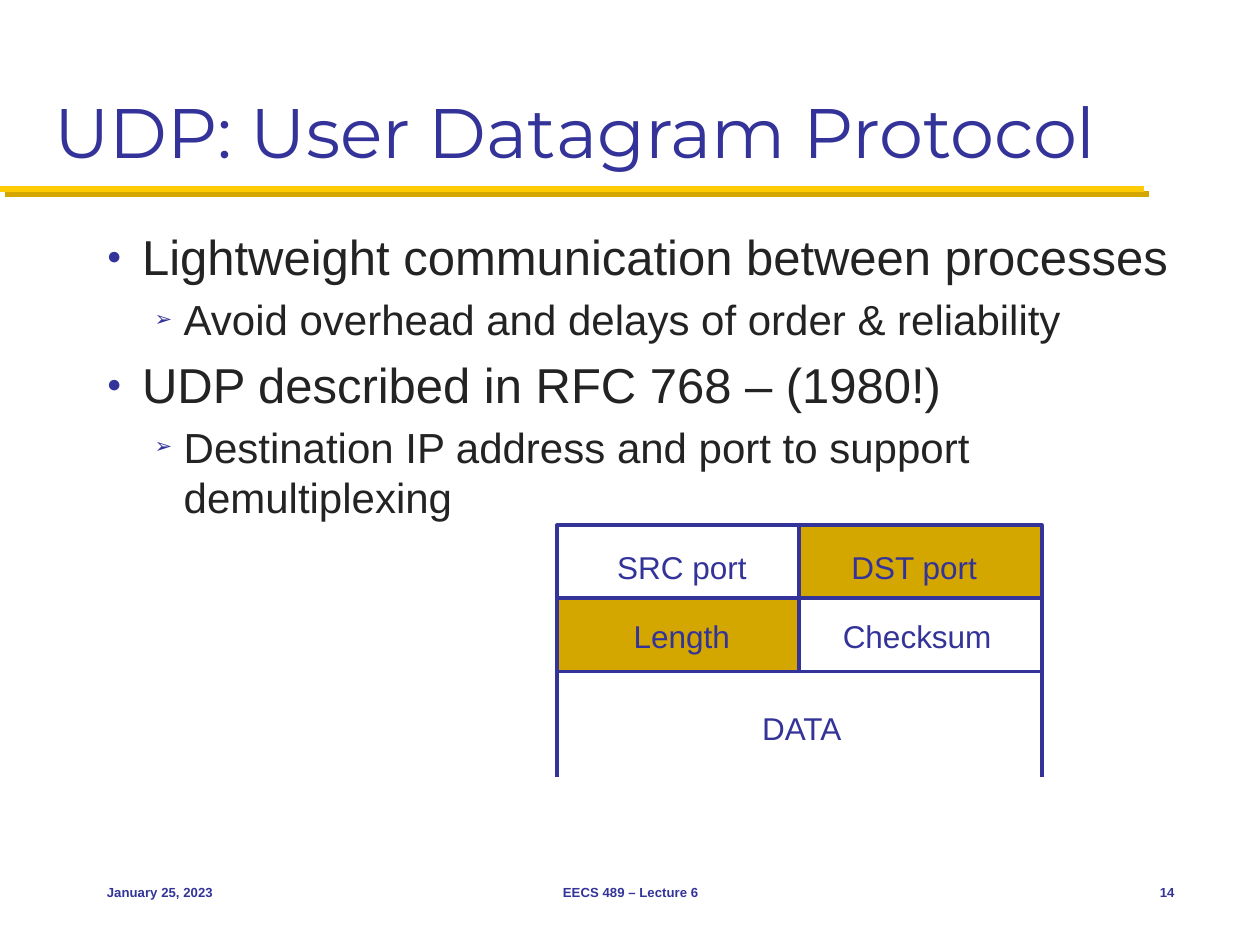
from lxml import etree
from pptx import Presentation
from pptx.dml.color import RGBColor
from pptx.enum import shapes, text
from pptx.oxml import parse_xml
from pptx.oxml.ns import nsdecls, qn
from pptx.util import Inches, Pt

NAVY, GOLD, YELLOW, INK = "333399", "D3A600", "FFCB05", "232323"
LEFT, CENTER, RIGHT = text.PP_ALIGN.LEFT, text.PP_ALIGN.CENTER, text.PP_ALIGN.RIGHT
TOP, MIDDLE, BOTTOM = text.MSO_ANCHOR.TOP, text.MSO_ANCHOR.MIDDLE, text.MSO_ANCHOR.BOTTOM


def color(value):
    return RGBColor.from_string(value)


def style(paragraph, size, hex_color=NAVY, font="Arial", bold=False, align=LEFT):
    paragraph.font.name = font
    paragraph.font.size = Pt(size)
    paragraph.font.bold = bold
    paragraph.font.color.rgb = color(hex_color)
    paragraph.alignment = align


def add_title(slide, words):
    title = slide.shapes.title
    title.left, title.top = Inches(0.33), Inches(0.17)
    title.width, title.height = Inches(9.33), Inches(1.25)
    title.text_frame.text = words
    title.text_frame.vertical_anchor = BOTTOM
    title.text_frame.auto_size = text.MSO_AUTO_SIZE.NONE
    style(title.text_frame.paragraphs[0], 40, font="Montserrat")


def add_line(slide, x1, y1, x2, y2, hex_color=NAVY, width=2.25):
    line = slide.shapes.add_connector(
        shapes.MSO_CONNECTOR.STRAIGHT, Inches(x1), Inches(y1), Inches(x2), Inches(y2))
    line.line.color.rgb = color(hex_color)
    line.line.width = Pt(width)
    return etree.SubElement(line._element.spPr, qn("a:effectLst"))


def add_title_rule(slide):
    effects = add_line(slide, 0, 1.5, 9.08, 1.5, YELLOW, 3.5)
    effects.append(parse_xml(
        f'<a:outerShdw {nsdecls("a")} dist="{Pt(4.2)}" dir="2700000" algn="ctr" '
        f'rotWithShape="0"><a:srgbClr val="{GOLD}"/></a:outerShdw>'))


def add_text(slide, words, left, top, width, height, size=18, bold=False,
             align=LEFT, anchor=TOP, fill=None):
    box = slide.shapes.add_textbox(Inches(left), Inches(top), Inches(width), Inches(height))
    box.text_frame.word_wrap = True
    box.text_frame.vertical_anchor = anchor
    box.text_frame.text = words
    if fill:
        box.fill.solid()
        box.fill.fore_color.rgb = color(fill)
    style(box.text_frame.paragraphs[0], size, bold=bold, align=align)


def add_bullets(slide, items):
    box = slide.shapes.add_textbox(Inches(0.75), Inches(1.75), Inches(8.67), Inches(4.83))
    frame = box.text_frame
    frame.word_wrap = True
    # Per level: text size, indent, hanging indent, bullet
    levels = [(28, 0.28, 0.28, "●"), (24, 0.61, 0.23, "➢")]
    for index, (level, words) in enumerate(items):
        size, indent, hanging, bullet = levels[level]
        paragraph = frame.add_paragraph() if index else frame.paragraphs[0]
        paragraph.text = words
        paragraph.level = level
        paragraph.space_before = Pt(0.2 * size)
        style(paragraph, size, INK)
        properties = paragraph._p.get_or_add_pPr()
        properties.set("marL", str(Inches(indent)))
        properties.set("indent", str(-Inches(hanging)))
        marks = (f'<a:buClr {nsdecls("a")}><a:srgbClr val="{NAVY}"/></a:buClr>',
                 f'<a:buSzPct {nsdecls("a")} val="50000"/>',
                 f'<a:buFont {nsdecls("a")} typeface="Arial"/>',
                 f'<a:buChar {nsdecls("a")} char="{bullet}"/>')
        default_run = properties.find(qn("a:defRPr"))
        for mark in marks:
            default_run.addprevious(parse_xml(mark))


def add_cell(slide, left, top, width, height, fill):
    cell = slide.shapes.add_shape(
        shapes.MSO_SHAPE.RECTANGLE, Inches(left), Inches(top), Inches(width), Inches(height))
    cell.shadow.inherit = False
    cell.line.color.rgb = color(NAVY)
    cell.line.width = Pt(2.25)
    if fill:
        cell.fill.solid()
        cell.fill.fore_color.rgb = color(fill)
    else:
        cell.fill.background()


def add_packet(slide):
    left, top, width, height = 4.42, 4.17, 1.925, 0.58
    # Header fields, two to a row
    for index, fill in enumerate([None, GOLD, GOLD, None]):
        row, column = divmod(index, 2)
        add_cell(slide, left + column * width, top + row * height, width, height, fill)
    # Open sides of the data area
    for x in (left, left + 2 * width):
        add_line(slide, x, top + 2 * height, x, 6.17)
    # Field labels
    for words, x, y, label_width, fill in [
            (" SRC port", 4.73, 4.3, 1.42, None),
            (" DST port", 6.59, 4.3, 1.42, GOLD),
            ("Length", 4.93, 4.85, 1.03, GOLD),
            ("Checksum", 6.59, 4.85, 1.42, None),
            ("DATA", 5.95, 5.58, 0.92, None)]:
        add_text(slide, words, x, y, label_width, 0.4, fill=fill)


def add_footer(slide):
    for words, left, width, align in [
            ("January 25, 2023", 0.75, 2.08, LEFT),
            ("14", 8.75, 0.67, RIGHT),
            ("EECS 489 – Lecture 6", 3.42, 3.17, CENTER)]:
        add_text(slide, words, left, 6.83, width, 0.5, 7.5, True, align, MIDDLE)


def main():
    presentation = Presentation()
    presentation.slide_width, presentation.slide_height = Inches(10), Inches(7.5)
    slide = presentation.slides.add_slide(presentation.slide_layouts[5])
    add_title_rule(slide)
    add_title(slide, "UDP: User Datagram Protocol")
    add_bullets(slide, [
        (0, "Lightweight communication between processes"),
        (1, "Avoid overhead and delays of order & reliability"),
        (0, "UDP described in RFC 768 – (1980!)"),
        (1, "Destination IP address and port to support demultiplexing")])
    add_packet(slide)
    add_footer(slide)
    presentation.save("out.pptx")


if __name__ == "__main__":
    main()
